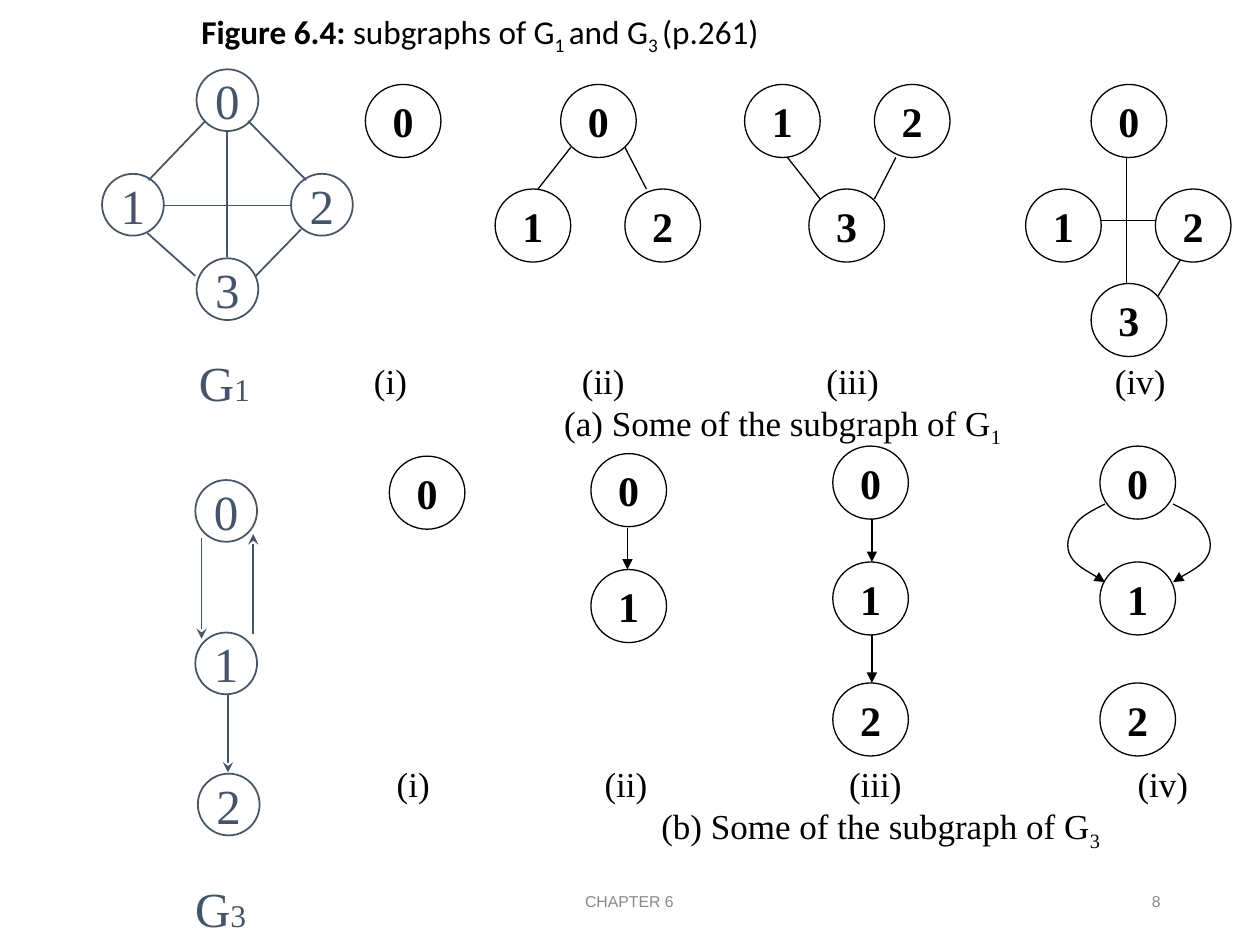
"""Build the slide on subgraphs of the graphs G1 and G3."""
from lxml import etree
from pptx import Presentation, util as u
from pptx.dml.color import RGBColor
from pptx.enum import shapes, text
from pptx.oxml.ns import qn

BLACK = RGBColor(0, 0, 0)
WHITE = RGBColor(255, 255, 255)
SLATE = RGBColor(0x44, 0x54, 0x6A)
GREY = RGBColor(0x89, 0x89, 0x89)
SERIF = "Times New Roman"
LEFT, CENTER, RIGHT = text.PP_ALIGN.LEFT, text.PP_ALIGN.CENTER, text.PP_ALIGN.RIGHT
TOP, MIDDLE = text.MSO_ANCHOR.TOP, text.MSO_ANCHOR.MIDDLE

deck = Presentation()
deck.slide_width, deck.slide_height = u.Inches(10), u.Inches(7.5)
slide = deck.slides.add_slide(deck.slide_layouts[6])
col, row = deck.slide_width / 100, deck.slide_height / 75


def write(paragraph, pieces, font, color, align=LEFT):
    paragraph.alignment = align
    for words, size, bold, baseline in pieces:
        run = paragraph.add_run()
        run.text = words
        run.font.name, run.font.size, run.font.bold = font, u.Pt(size), bold
        run.font.color.rgb = color
        if baseline:
            run._r.get_or_add_rPr().set("baseline", str(baseline * 1000))


def outline(stroke, color, width, arrow=None):
    stroke.line.color.rgb = color
    stroke.line.width = u.Pt(width)
    properties = stroke.element.spPr
    if arrow:
        etree.SubElement(properties.find(qn("a:ln")), qn("a:tailEnd"), type=arrow)
    if properties.find(qn("a:effectLst")) is None:
        etree.SubElement(properties, qn("a:effectLst"))


captions = [
    (33.1, 69.5, 33.7, 4, MIDDLE, CENTER, "Arial", GREY, [("CHAPTER 6", 9, False, 0)]),
    (70.6, 69.5, 22.5, 4, MIDDLE, RIGHT, "Arial", GREY, [("8", 9, False, 0)]),
    (15, 0.4, 85, 7.1, TOP, LEFT, "Calibri", BLACK, [
        ("Figure 6.4:", 19, True, 0), (" subgraphs of G", 19, False, 0),
        ("1 ", 19, False, -25), ("and G", 19, False, 0),
        ("3 ", 19, False, -25), ("(p.261)", 19, False, 0)]),
    (14.8, 27.5, 6.1, 5.7, TOP, LEFT, SERIF, SLATE,
     [("G", 28, False, 0), ("1", 18, False, 0)]),
    (14.5, 69.2, 6.1, 5.7, TOP, LEFT, SERIF, SLATE,
     [("G", 28, False, 0), ("3", 18, False, 0)]),
]
for x, y, width, height, anchor, align, font, color, pieces in captions:
    frame = slide.shapes.add_textbox(
        int(x * col), int(y * row), int(width * col), int(height * row)).text_frame
    frame.word_wrap = True
    frame.vertical_anchor = anchor
    write(frame.paragraphs[0], pieces, font, color, align)

numeral_stops = [16.5, 35.9, 58.8]
for x, y, indent, sentence, index in [
        (28.7, 28, 15.1, "(a) Some of the subgraph of G", "1"),
        (30.5, 60, 21, "(b) Some of the subgraph of G", "3")]:
    frame = slide.shapes.add_textbox(
        int(x * col), int(y * row), int(65.7 * col), int(7.9 * row)).text_frame
    frame.word_wrap = True
    numerals, summary = frame.paragraphs[0], frame.add_paragraph()
    write(numerals, [("(i)\t(ii)\t(iii)\t(iv)", 20, False, 0)], SERIF, BLACK)
    tabs = etree.SubElement(numerals._p.get_or_add_pPr(), qn("a:tabLst"))
    for stop in numeral_stops:
        etree.SubElement(tabs, qn("a:tab"), pos=str(int(stop * col)), algn="l")
    write(summary, [(sentence, 20, False, 0), (index, 20, False, -25)], SERIF, BLACK)
    summary._p.get_or_add_pPr().set("marL", str(int(indent * col)))

subgraph_nodes = [
    (29, 6.7, "0"),
    (44.5, 6.7, "0"), (39.3, 15, "1"), (49.6, 15, "2"),
    (59.1, 6.7, "1"), (69.4, 6.7, "2"), (64.2, 15, "3"),
    (86.6, 6.7, "0"), (81.4, 15, "1"), (91.7, 15, "2"), (86.6, 22.5, "3"),
    (30.9, 36.2, "0"),
    (46.9, 36, "0"), (46.9, 45.2, "1"),
] + [(x, y, label) for x in (66.1, 87.3)
     for y, label in ((35.4, "0"), (44.6, "1"), (54.2, "2"))]
graph_nodes = [
    (15.6, 5.5, "0"), (8.1, 13.8, "1"), (23.1, 13.8, "2"), (15.6, 20.5, "3"),
    (15.5, 38.1, "0"), (15.5, 50.2, "1"), (15.7, 61.4, "2"),
]
for nodes, width, height, size, bold, color, weight in [
        (subgraph_nodes, 6, 5.8, 24, True, BLACK, 0.75),
        (graph_nodes, 4.9, 4.9, 28, False, SLATE, 1)]:
    for x, y, label in nodes:
        node = slide.shapes.add_shape(
            shapes.MSO_SHAPE.OVAL, int(x * col), int(y * row),
            int(width * col), int(height * row))
        node.shadow.inherit = False
        if color == SLATE:
            node.fill.solid()
            node.fill.fore_color.rgb = WHITE
        else:
            node.fill.background()
        outline(node, color, weight)
        node.text_frame.word_wrap = False
        node.text_frame.vertical_anchor = MIDDLE
        write(node.text_frame.paragraphs[0], [(label, size, bold, 0)], SERIF, color, CENTER)

subgraph_edges = [
    (45.3, 11.7, 42.7, 15), (49.6, 11.7, 51.3, 15),
    (65.1, 15.8, 62.5, 12.5), (69.4, 15.8, 71.1, 12.5),
    (87.4, 17.5, 91.7, 17.5), (89.4, 12.5, 89.4, 22.5), (93.7, 20.6, 91.9, 23.5),
]
subgraph_arrows = [
    (49.8, 41.9, 49.8, 45.2), (69.2, 41.2, 69.2, 44.6), (69.2, 50.4, 69.2, 54.2),
]
graph_edges = [
    (18, 10.4, 18, 20.4), (13, 16.3, 23, 16.3), (16.3, 9.6, 11.8, 14.3),
    (19.7, 9.6, 24.3, 14.3), (11.7, 18.5, 15.5, 21.9), (23.9, 18.2, 20.3, 21.9),
]
graph_arrows = [
    (18.1, 55.2, 18.1, 61.3), (20.1, 50.3, 20.1, 42.4), (16, 42.7, 16, 50.7),
]
for edges, color, weight, arrow in [
        (subgraph_edges, BLACK, 0.75, None), (subgraph_arrows, BLACK, 0.75, "triangle"),
        (graph_edges, SLATE, 1, None), (graph_arrows, SLATE, 1, "stealth")]:
    for x1, y1, x2, y2 in edges:
        edge = slide.shapes.add_connector(
            shapes.MSO_CONNECTOR.STRAIGHT,
            int(x1 * col), int(y1 * row), int(x2 * col), int(y2 * row))
        outline(edge, color, weight, arrow)

arc = [(87.7, 40), (86.7, 40.5), (85.7, 41), (85.3, 41.7), (84.8, 42.4),
       (84.5, 43.4), (85, 44.2), (85.4, 44.9), (87.3, 45.9), (87.7, 46.2)]
mirror_sum = 180.8
for points in (arc, [(mirror_sum - x, y) for x, y in arc]):
    start, *controls = [(int(x * col), int(y * row)) for x, y in points]
    builder = slide.shapes.build_freeform(*start)
    builder.add_line_segments(controls, close=False)
    loop = builder.convert_to_shape()
    loop.shadow.inherit = False
    loop.fill.background()
    outline(loop, BLACK, 0.75, "triangle")
    track = next(loop.element.iter(qn("a:path")))
    segments = track.findall(qn("a:lnTo"))
    for first in range(0, len(segments), 3):
        bezier = etree.SubElement(track, qn("a:cubicBezTo"))
        for segment in segments[first:first + 3]:
            bezier.append(segment[0])
            track.remove(segment)

deck.save("out.pptx")
